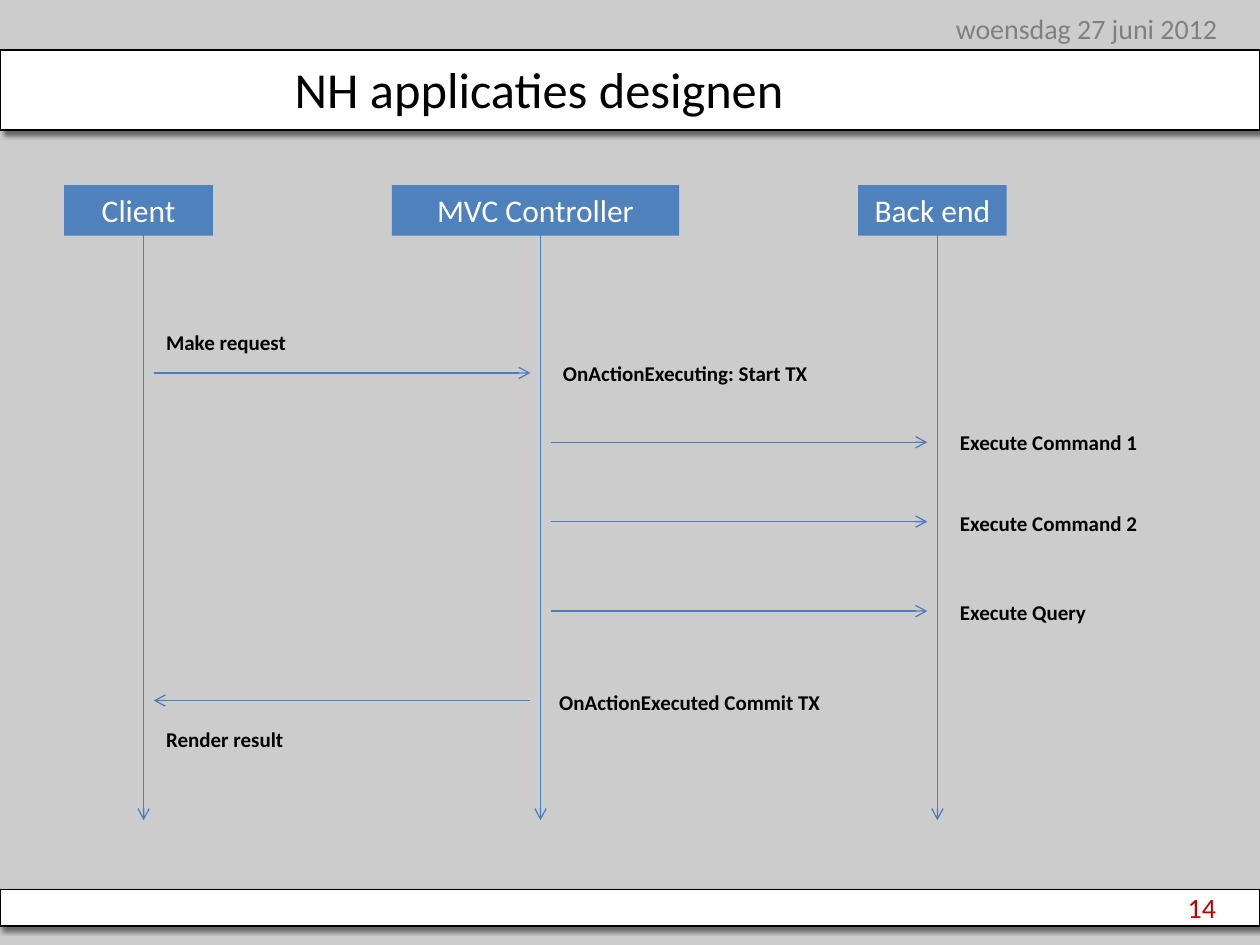
"""Build a sequence diagram slide of a client, a controller and a back end."""
from pptx import Presentation
from pptx.dml.color import RGBColor
from pptx.enum.shapes import MSO_CONNECTOR, MSO_SHAPE
from pptx.enum.text import MSO_ANCHOR, MSO_AUTO_SIZE, PP_ALIGN
from pptx.oxml import parse_xml
from pptx.oxml.ns import nsdecls, qn
from pptx.oxml.xmlchemy import OxmlElement
from pptx.util import Inches, Pt

RECTANGLE = MSO_SHAPE.RECTANGLE
STRAIGHT = MSO_CONNECTOR.STRAIGHT
TOP, MIDDLE = MSO_ANCHOR.TOP, MSO_ANCHOR.MIDDLE
LEFT, CENTER, RIGHT = PP_ALIGN.LEFT, PP_ALIGN.CENTER, PP_ALIGN.RIGHT
NO_RESIZE = MSO_AUTO_SIZE.NONE

FONT = "Calibri"
COLORS = {
    "background": "CCCCCC",
    "bar": "FFFFFF",
    "text": "000000",
    "date": "808080",
    "number": "C00000",
    "participant": "4F81BD",
    "arrow": "4B7EBC",
}
CLIENT, CONTROLLER, BACK_END = 1.14, 4.29, 7.44
PARTICIPANTS = [
    ("Client", CLIENT, 0.51, 1.18),
    ("MVC Controller", CONTROLLER, 3.11, 2.28),
    ("Back end", BACK_END, 6.81, 1.18),
]
PARTICIPANT_TOP, LIFELINE_TOP, LIFELINE_BOTTOM = 1.47, 1.86, 6.51
GAP = 0.08
MESSAGES = [
    (CLIENT, CONTROLLER, 2.96),
    (CONTROLLER, BACK_END, 3.51),
    (CONTROLLER, BACK_END, 4.14),
    (CONTROLLER, BACK_END, 4.85),
    (CONTROLLER, CLIENT, 5.56),
]
LABELS = [
    ("Make request", 1.22, 2.57, 1.16),
    ("OnActionExecuting: Start TX", 4.37, 2.81, 2.17),
    ("Execute Command 1", 7.52, 3.36, 1.62),
    ("Execute Command 2", 7.52, 4, 1.62),
    ("Execute Query", 7.52, 4.71, 1.21),
    ("OnActionExecuted Commit TX", 4.34, 5.42, 2.3),
    ("Render result", 1.22, 5.72, 1.14),
]


def color(name):
    return RGBColor.from_string(COLORS[name])


def write(shape, text, size, color_name, align=LEFT, anchor=TOP, bold=False, wrap=True):
    frame = shape.text_frame
    frame.auto_size = NO_RESIZE
    frame.word_wrap = wrap
    frame.vertical_anchor = anchor
    paragraph = frame.paragraphs[0]
    paragraph.text = text
    paragraph.alignment = align
    font = paragraph.font
    font.name, font.size, font.bold = FONT, Pt(size), bold
    font.color.rgb = color(color_name)


def add_text(slide, box, *content, **style):
    shape = slide.shapes.add_textbox(*map(Inches, box))
    write(shape, *content, **style)


def add_rectangle(slide, box, fill):
    shape = slide.shapes.add_shape(RECTANGLE, *map(Inches, box))
    shape.shadow.inherit = False
    shape.fill.solid()
    shape.fill.fore_color.rgb = color(fill)
    return shape


def add_bar(slide, top, height):
    bar = add_rectangle(slide, (0, top, 10, height), "bar")
    bar.line.color.rgb = color("text")
    bar.line.width = Pt(1)
    effects = bar._element.spPr.find(qn("a:effectLst"))
    effects.append(parse_xml(
        f'<a:outerShdw {nsdecls("a")} blurRad="{Pt(3)}" dist="{Pt(3)}" dir="2700000" '
        'algn="tl" rotWithShape="0"><a:srgbClr val="000000"><a:alpha val="50000"/>'
        '</a:srgbClr></a:outerShdw>'))


def add_participant(slide, name, left, width):
    shape = add_rectangle(slide, (left, PARTICIPANT_TOP, width, 0.4), "participant")
    shape.line.fill.background()
    write(shape, name, 18, "bar", align=CENTER)


def add_arrow(slide, start, end):
    arrow = slide.shapes.add_connector(STRAIGHT, *map(Inches, (*start, *end)))
    arrow.line.color.rgb = color("arrow")
    arrow.line.width = Pt(0.75)
    properties = arrow._element.spPr
    head = OxmlElement("a:tailEnd")
    head.set("type", "arrow")
    properties.find(qn("a:ln")).append(head)
    properties.append(OxmlElement("a:effectLst"))


def add_message(slide, sender, receiver, y):
    gap = GAP if receiver > sender else -GAP
    add_arrow(slide, (sender + gap, y), (receiver - gap, y))


def main():
    presentation = Presentation()
    presentation.slide_width = Inches(10)
    presentation.slide_height = Inches(7.5)
    slide = presentation.slides.add_slide(presentation.slide_layouts[6])
    slide.background.fill.solid()
    slide.background.fill.fore_color.rgb = color("background")

    add_bar(slide, 7.06, 0.29)
    add_bar(slide, 0.4, 0.63)
    add_text(slide, (3.93, 0.06, 5.83, 0.33), "woensdag 27 juni 2012", 16, "date",
             align=RIGHT, anchor=MIDDLE)
    add_text(slide, (7.42, 7, 2.33, 0.4), "14", 16, "number", align=RIGHT, anchor=MIDDLE)
    add_text(slide, (2.24, 0.44, 7.52, 0.53), "NH applicaties designen", 28.8, "text",
             anchor=MIDDLE)

    for name, lifeline, left, width in PARTICIPANTS:
        add_arrow(slide, (lifeline, LIFELINE_TOP), (lifeline, LIFELINE_BOTTOM))
        add_participant(slide, name, left, width)
    for message in MESSAGES:
        add_message(slide, *message)
    for text, left, top, width in LABELS:
        add_text(slide, (left, top, width, 0.3), text, 12, "text", bold=True, wrap=False)

    presentation.save("out.pptx")


main()
